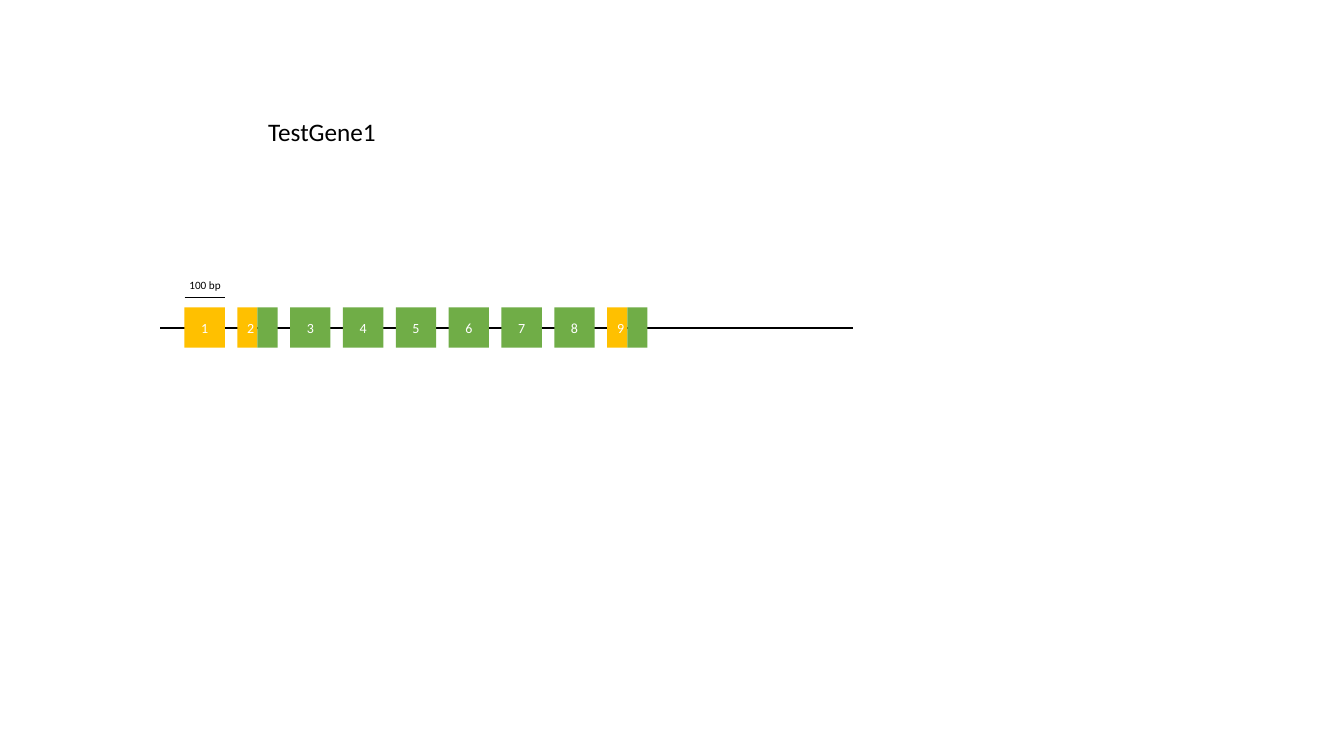
"""Draw the exon map of TestGene1 with its scale bar."""
from pptx import Presentation, util as u
from pptx.dml.color import RGBColor
from pptx.enum import shapes, text
from pptx.oxml.xmlchemy import OxmlElement

BLACK = RGBColor(0, 0, 0)
WHITE = RGBColor(255, 255, 255)
GOLD = RGBColor(0xFF, 0xC0, 0x00)
GREEN = RGBColor(0x70, 0xAD, 0x47)

deck = Presentation()
deck.slide_width, deck.slide_height = u.Inches(13.33), u.Inches(7.5)
slide = deck.slides.add_slide(deck.slide_layouts[5])
items = slide.shapes

cell = u.Inches(0.4)
step = 1.31 * cell
left, top = u.Inches(1.83), u.Inches(3.05)
axis = top + cell // 2
scale = top - cell // 4


def write(shape, words, size, color=BLACK, align=text.PP_ALIGN.LEFT,
          anchor=text.MSO_ANCHOR.TOP, wrap=False):
    frame = shape.text_frame
    frame.text = words
    frame.word_wrap = wrap
    frame.vertical_anchor = anchor
    frame.auto_size = (text.MSO_AUTO_SIZE.NONE if wrap
                       else text.MSO_AUTO_SIZE.SHAPE_TO_FIT_TEXT)
    para = frame.paragraphs[0]
    para.alignment = align
    font = para.runs[0].font
    font.name, font.size, font.color.rgb = "Calibri", u.Pt(size), color


title = items.title
title.left, title.top = u.Inches(2.56), u.Inches(1.1)
title.width, title.height = u.Inches(1.28), cell
write(title, "TestGene1", 18)

gene = (u.Inches(1.59), u.Inches(8.46), axis, 1.5)
ruler = (left, left + cell, scale, 0.75)
for start, end, y, width in (gene, ruler):
    line = items.add_connector(shapes.MSO_CONNECTOR.STRAIGHT, start, y, end, y)
    line.line.color.rgb = BLACK
    line.line.width = u.Pt(width)
    line._element.spPr.append(OxmlElement("a:effectLst"))

label = items.add_textbox(u.Inches(1.78), u.Inches(2.71), u.Inches(0.51), u.Inches(0.24))
write(label, "100 bp", 8)

exons = [[GOLD], [GOLD, GREEN]] + [[GREEN]] * 6 + [[GOLD, GREEN]]
for i, parts in enumerate(exons):
    width = cell // len(parts)
    for j, color in enumerate(parts):
        x = round(left + i * step + j * width)
        box = items.add_shape(shapes.MSO_SHAPE.RECTANGLE, x, top, width, cell)
        box.shadow.inherit = False
        box.fill.solid()
        box.fill.fore_color.rgb = color
        box.line.fill.background()
        if j == 0:
            write(box, str(i + 1), 10, color=WHITE, align=text.PP_ALIGN.CENTER,
                  anchor=text.MSO_ANCHOR.MIDDLE, wrap=True)

deck.save("out.pptx")
